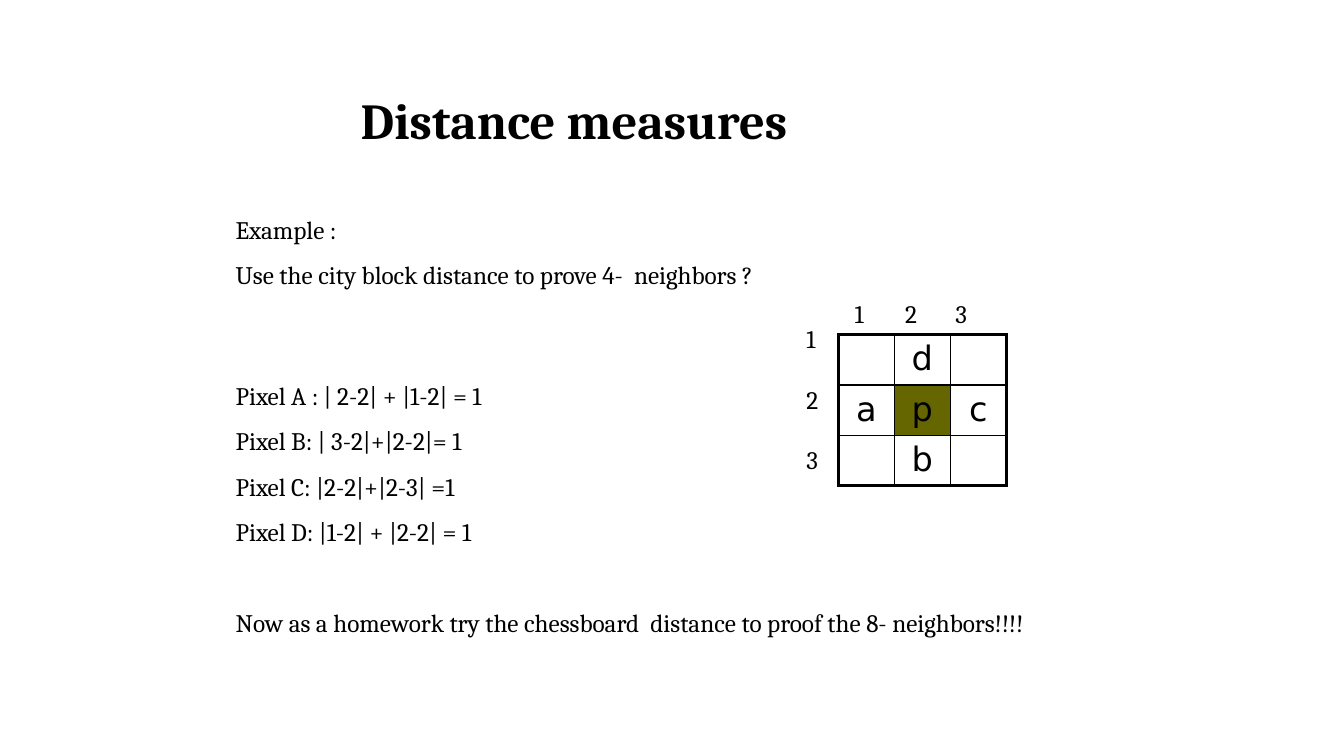
from dataclasses import dataclass

import lxml.etree
import pptx
import pptx.dml.color
import pptx.enum.text
import pptx.oxml.ns
import pptx.util

Cm = pptx.util.Cm
Pt = pptx.util.Pt


@dataclass(frozen=True)
class Theme:
    text_font: str = "Cambria"
    grid_font: str = "DejaVu Sans"
    ink: str = "000000"
    center_fill: str = "666600"
    title_size: float = 36
    text_size: float = 18
    grid_size: float = 24
    outer_line: float = 2.25
    inner_line: float = 1


@dataclass(frozen=True)
class TextBlock:
    left: float
    top: float
    width: float
    height: float
    lines: tuple[str, ...]
    inset_top: float = 0.03
    gap: float = 0
    line_spacing: float = 1
    tabs: tuple[float, ...] = ()


@dataclass(frozen=True)
class PixelGrid:
    left: float
    top: float
    column_width: float
    row_height: float
    rows: tuple[str, ...]
    center: str


THEME = Theme()
LEFT = 5.94

TITLE = TextBlock(9.09, 2.18, 11.66, 1.6, ("Distance measures",))
PIXELS = TextBlock(
    LEFT, 9.17, 6.96, 4.65,
    (
        "Pixel A : | 2-2| + |1-2| = 1",
        "Pixel B: | 3-2|+|2-2|= 1",
        "Pixel C: |2-2|+|2-3| =1",
        "Pixel D: |1-2| + |2-2| = 1",
    ),
    line_spacing=1.5,
)
EXAMPLE = TextBlock(
    LEFT, 4.98, 14, 2.36,
    ("Example :", "Use the city block distance to prove 4-  neighbors ?"),
    inset_top=0.41,
    gap=10.8,
)
HOMEWORK = TextBlock(
    LEFT, 15.27, 24.87, 0.81,
    ("Now as a homework try the chessboard  distance to proof the 8- neighbors!!!!",),
)
COLUMN_LABELS = TextBlock(21.54, 7.49, 3.43, 0.84, ("1\t2\t3",), tabs=(1.63, 3.02))
ROW_LABELS = tuple(
    TextBlock(20.32, 8.13 + 1.52 * index, 0.43, 0.84, (str(index + 1),))
    for index in range(3)
)
GRID = PixelGrid(21.13, 8.43, 1.41, 1.27, (" d ", "apc", " b "), center="p")


def add_element(parent, tag: str, **attributes: str):
    return lxml.etree.SubElement(parent, pptx.oxml.ns.qn(tag), attributes)


def style_font(font, name: str, size: float, bold: bool = False) -> None:
    font.name = name
    font.size = Pt(size)
    font.bold = bold
    font.color.rgb = pptx.dml.color.RGBColor.from_string(THEME.ink)


def fill_text(box, block: TextBlock, size: float, bold: bool = False) -> None:
    box.left, box.top = Cm(block.left), Cm(block.top)
    box.width, box.height = Cm(block.width), Cm(block.height)
    frame = box.text_frame
    frame.word_wrap = True
    frame.auto_size = pptx.enum.text.MSO_AUTO_SIZE.NONE
    frame.margin_left = frame.margin_right = frame.margin_bottom = 0
    frame.margin_top = Cm(block.inset_top)
    frame.text = "\n".join(block.lines)
    for index, para in enumerate(frame.paragraphs):
        properties = para._p.get_or_add_pPr()
        properties.set("marL", "0")
        properties.set("indent", "0")
        add_element(properties, "a:buNone")
        if block.tabs:
            tab_list = add_element(properties, "a:tabLst")
            for position in block.tabs:
                add_element(tab_list, "a:tab", pos=str(Cm(position)), algn="l")
        para.alignment = pptx.enum.text.PP_ALIGN.LEFT
        para.line_spacing = block.line_spacing
        para.space_before = Pt(block.gap if index else 0)
        style_font(para.font, THEME.text_font, size, bold)


def add_text(page, block: TextBlock) -> None:
    box = page.shapes.add_textbox(0, 0, 0, 0)
    fill_text(box, block, THEME.text_size)


def draw_borders(cell, outer_sides: dict[str, bool]) -> None:
    properties = cell._tc.get_or_add_tcPr()
    for index, (side, is_outer) in enumerate(outer_sides.items()):
        width = Pt(THEME.outer_line if is_outer else THEME.inner_line)
        line = add_element(properties, f"a:ln{side}", w=str(width))
        fill = add_element(line, "a:solidFill")
        add_element(fill, "a:srgbClr", val=THEME.ink)
        properties.insert(index, line)


def add_grid(page, grid: PixelGrid) -> None:
    row_count, column_count = len(grid.rows), len(grid.rows[0])
    table = page.shapes.add_table(
        row_count, column_count, Cm(grid.left), Cm(grid.top),
        Cm(grid.column_width * column_count), Cm(grid.row_height * row_count),
    ).table
    table.first_row = table.horz_banding = False
    for row_index, letters in enumerate(grid.rows):
        for column_index, letter in enumerate(letters):
            cell = table.cell(row_index, column_index)
            cell.margin_left = cell.margin_right = cell.margin_bottom = 0
            cell.margin_top = Cm(0.13)
            cell.text = letter.strip()
            para = cell.text_frame.paragraphs[0]
            para.alignment = pptx.enum.text.PP_ALIGN.CENTER
            style_font(para.font, THEME.grid_font, THEME.grid_size)
            if letter == grid.center:
                cell.fill.solid()
                cell.fill.fore_color.rgb = pptx.dml.color.RGBColor.from_string(THEME.center_fill)
            else:
                cell.fill.background()
            draw_borders(cell, {
                "L": column_index == 0,
                "R": column_index == column_count - 1,
                "T": row_index == 0,
                "B": row_index == row_count - 1,
            })


def main() -> None:
    deck = pptx.Presentation()
    deck.slide_width, deck.slide_height = Cm(33.87), Cm(19.05)
    page = deck.slides.add_slide(deck.slide_layouts[1])
    title, body = page.placeholders
    fill_text(title, TITLE, THEME.title_size, bold=True)
    title.text_frame.vertical_anchor = pptx.enum.text.MSO_ANCHOR.MIDDLE
    fill_text(body, PIXELS, THEME.text_size)
    for block in (EXAMPLE, HOMEWORK, COLUMN_LABELS, *ROW_LABELS):
        add_text(page, block)
    add_grid(page, GRID)
    deck.save("out.pptx")


if __name__ == "__main__":
    main()
